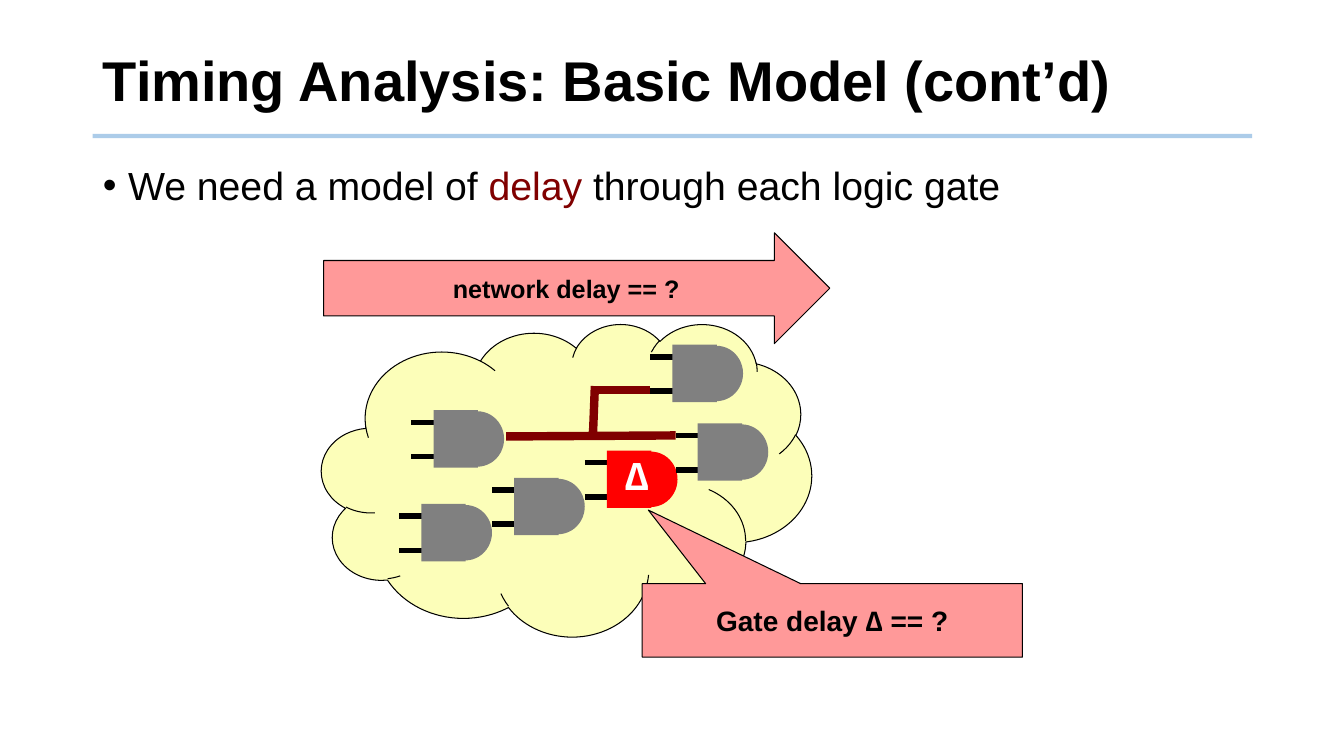
from lxml.etree import SubElement
from pptx import Presentation
from pptx.dml.color import RGBColor
from pptx.enum.shapes import MSO_CONNECTOR, MSO_SHAPE
from pptx.enum.text import MSO_ANCHOR, MSO_AUTO_SIZE, PP_ALIGN
from pptx.oxml.ns import qn
from pptx.util import Inches, Pt

BLACK = RGBColor(0, 0, 0)
WHITE = RGBColor(255, 255, 255)
GRAY = RGBColor(0x80, 0x80, 0x80)
RED = RGBColor(255, 0, 0)
MAROON = RGBColor(0x80, 0, 0)
PINK = RGBColor(0xFF, 0x99, 0x99)
CREAM = RGBColor(0xFC, 0xFE, 0xB9)
BLUE = RGBColor(0x5B, 0x9B, 0xD5)

# Content
TITLE = "Timing Analysis: Basic Model (cont’d)"
POINT = [("We need a model of ", BLACK), ("delay", MAROON),
         (" through each logic gate", BLACK)]
NETWORK = " network delay == ?"
GATE = "Gate delay ∆ == ?"
DELTA = "∆"

# Upper input of each gate, and the gate's colour
GATES = [(3.96, 5.12, GRAY), (4.88, 4.86, GRAY), (5.8, 4.59, RED),
         (4.08, 4.19, GRAY), (6.7, 4.32, GRAY), (6.45, 3.54, GRAY)]
WIRES = [(5.02, 4.33, 6.7, 4.32), (5.88, 3.87, 6.45, 3.87),
         (5.88, 4.34, 5.9, 3.83)]

# Text formats
HEAD = {"size": Pt(40), "bold": True}
BODY = {"size": Pt(28), "bold": False}
LABEL = {"size": Pt(18), "bold": True}
NOTE = {"size": Pt(20), "bold": True}
MARK = {"size": Pt(28), "bold": True}

deck = Presentation()
deck.slide_width, deck.slide_height = Inches(13.33), Inches(7.5)
slide = deck.slides.add_slide(deck.slide_layouts[1])
shapes = slide.shapes


def write(para, runs, style, align=PP_ALIGN.LEFT):
    para.alignment = align
    for text, color in runs:
        run = para.add_run()
        run.text = text
        run.font.name = "Arial"
        run.font.color.rgb = color
        for key, value in style.items():
            setattr(run.font, key, value)


def place(holder, box, anchor):
    holder.left, holder.top, holder.width, holder.height = map(Inches, box)
    frame = holder.text_frame
    frame.auto_size = MSO_AUTO_SIZE.NONE
    frame.vertical_anchor = anchor
    para = frame.paragraphs[0]
    para.line_spacing = 0.9
    return para


def line(ends, color, width):
    link = shapes.add_connector(MSO_CONNECTOR.STRAIGHT, *map(Inches, ends))
    link.line.color.rgb = color
    link.line.width = Pt(width)
    SubElement(link._element.spPr, qn("a:effectLst"))
    return link


def solid(kind, box, color, edge=False):
    shape = shapes.add_shape(kind, *map(Inches, box))
    shape.shadow.inherit = False
    shape.fill.solid()
    shape.fill.fore_color.rgb = color
    if edge:
        shape.line.color.rgb = BLACK
        shape.line.width = Pt(0.75)
    else:
        shape.line.fill.background()
    return shape


def label(shape, text, style):
    frame = shape.text_frame
    frame.vertical_anchor = MSO_ANCHOR.MIDDLE
    write(frame.paragraphs[0], [(text, BLACK)], style, PP_ALIGN.CENTER)
    return frame


def gate(x, y, color):
    for lead in (y, y + 0.34):
        line((x, lead, x + 0.29, lead), BLACK, 4)
    solid(MSO_SHAPE.RECTANGLE, (x + 0.22, y - 0.12, 0.44, 0.57), color)
    solid(MSO_SHAPE.OVAL, (x + 0.39, y - 0.11, 0.53, 0.55), color)


# Title, rule and bullet
rule = line((0.92, 1.35, 12.42, 1.35), BLUE, 3)
tint = rule._element.spPr.find(".//" + qn("a:srgbClr"))
SubElement(tint, qn("a:alpha")).set("val", "50000")

head = place(shapes.title, (0.92, 0.28, 11.5, 1.1), MSO_ANCHOR.MIDDLE)
write(head, [(TITLE, BLACK)], HEAD)

body = place(slide.placeholders[1], (0.92, 1.6, 11.5, 5.15), MSO_ANCHOR.TOP)
body.space_before = Pt(10)
write(body, POINT, BODY)
props = body._p.get_or_add_pPr()
props.set("marL", str(Inches(0.25)))
props.set("indent", str(-Inches(0.25)))
SubElement(props, qn("a:buChar")).set("char", "•")

# Logic network
solid(MSO_SHAPE.CLOUD, (3.19, 3.21, 4.86, 3.1), CREAM, True)
for spot in GATES:
    gate(*spot)
for wire in WIRES:
    line(wire, MAROON, 6)

# Delay labels
arrow = solid(MSO_SHAPE.RIGHT_ARROW, (3.21, 2.31, 5.02, 1.1), PINK, True)
frame = label(arrow, NETWORK, LABEL)
frame.margin_left = frame.margin_right = 0

call = solid(MSO_SHAPE.RECTANGULAR_CALLOUT, (6.37, 5.79, 3.77, 0.73),
             PINK, True)
call.adjustments[0], call.adjustments[1] = -0.484, -1.5
label(call, GATE, NOTE)

mark = shapes.add_textbox(*map(Inches, (6.1, 4.43, 0.44, 0.57)))
mark.text_frame.word_wrap = False
write(mark.text_frame.paragraphs[0], [(DELTA, WHITE)], MARK)

deck.save("out.pptx")
